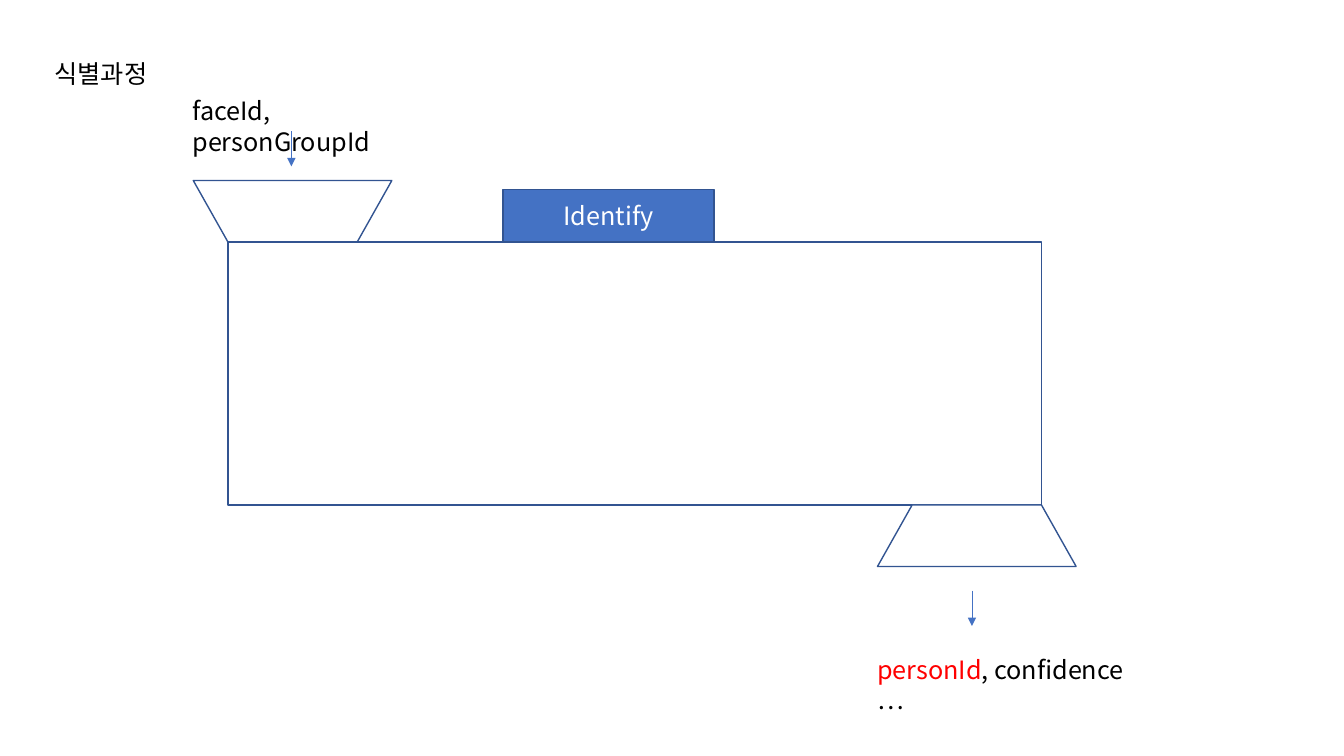
"""Builds the slide showing the inputs and outputs of the identify step."""
import pptx
import pptx.dml.color
import pptx.enum.shapes
import pptx.enum.text
import pptx.oxml.ns
import pptx.util
from lxml import etree

Inches = pptx.util.Inches
SHAPE = pptx.enum.shapes.MSO_SHAPE
ALIGN = pptx.enum.text.PP_ALIGN
ANCHOR = pptx.enum.text.MSO_ANCHOR

FONT = "Noto Sans CJK KR"
BLUE, EDGE, WHITE, BLACK, RED = "4472C4", "325491", "FFFFFF", "000000", "FF0000"

TITLE = [("식별과정", BLACK)]
LABEL = [("Identify", WHITE)]
INPUTS = [("faceId, personGroupId", BLACK)]
OUTPUTS = [("personId", RED), (", confidence …", BLACK)]

BOX_X, BOX_Y, BOX_W, BOX_H = 2.26, 2.4, 8.07, 2.61
LABEL_W, LABEL_H = 2.09, 0.52
PORT_W, PORT_H, PORT_SLOPE = 1.97, 0.61, 0.563
PORT_INSET = PORT_H * PORT_SLOPE
ARROW_H = 0.35
ARROWS = [(2.89, 1.3), (9.64, 5.86)]
TEXTS = [(INPUTS, 1.81, 0.9, 2.72), (OUTPUTS, 8.6, 6.44, 2.85)]


def rgb(color):
    return pptx.dml.color.RGBColor.from_string(color)


def write(shape, runs, align=ALIGN.LEFT, anchor=ANCHOR.TOP):
    tf = shape.text_frame
    tf.word_wrap = True
    tf.auto_size = pptx.enum.text.MSO_AUTO_SIZE.NONE
    tf.vertical_anchor = anchor
    p = tf.paragraphs[0]
    p.alignment = align
    p.line_spacing = 1.0
    for text, color in runs:
        r = p.add_run()
        r.text = text
        r.font.size = pptx.util.Pt(18)
        r.font.name = FONT
        r.font.color.rgb = rgb(color)
        ea = etree.SubElement(r.font._element, pptx.oxml.ns.qn("a:ea"))
        ea.set("typeface", FONT)


def add_shape(s, kind, x, y, w, h, fill=WHITE):
    sp = s.shapes.add_shape(kind, Inches(x), Inches(y), Inches(w), Inches(h))
    sp.shadow.inherit = False
    sp.fill.solid()
    sp.fill.fore_color.rgb = rgb(fill)
    sp.line.color.rgb = rgb(EDGE)
    sp.line.width = pptx.util.Pt(1)
    return sp


def add_port(s, x, y, rotation):
    sp = add_shape(s, SHAPE.TRAPEZOID, x, y, PORT_W, PORT_H)
    sp.adjustments[0] = PORT_SLOPE
    sp.rotation = rotation


def add_arrow(s, x, y):
    cxn = s.shapes.add_connector(pptx.enum.shapes.MSO_CONNECTOR.STRAIGHT,
                                 Inches(x), Inches(y), Inches(x), Inches(y + ARROW_H))
    cxn.line.color.rgb = rgb(BLUE)
    cxn.line.width = pptx.util.Pt(0.5)
    tail = etree.SubElement(cxn.line._get_or_add_ln(), pptx.oxml.ns.qn("a:tailEnd"))
    tail.set("type", "triangle")
    etree.SubElement(cxn._element.spPr, pptx.oxml.ns.qn("a:effectLst"))


def main():
    prs = pptx.Presentation()
    prs.slide_width, prs.slide_height = Inches(13.33), Inches(7.5)
    s = prs.slides.add_slide(prs.slide_layouts[5])

    title = s.shapes.title
    title.left, title.top = Inches(0.44), Inches(0.53)
    title.width, title.height = Inches(1.21), Inches(0.4)
    write(title, TITLE)

    add_shape(s, SHAPE.RECTANGLE, BOX_X, BOX_Y, BOX_W, BOX_H)
    label = add_shape(s, SHAPE.RECTANGLE, 4.99, BOX_Y - LABEL_H, LABEL_W, LABEL_H, BLUE)
    write(label, LABEL, ALIGN.CENTER, ANCHOR.MIDDLE)

    add_port(s, BOX_X - PORT_INSET, BOX_Y - PORT_H, 180)
    add_port(s, BOX_X + BOX_W + PORT_INSET - PORT_W, BOX_Y + BOX_H, 0)

    for x, y in ARROWS:
        add_arrow(s, x, y)
    for runs, x, y, w in TEXTS:
        write(s.shapes.add_textbox(Inches(x), Inches(y), Inches(w), Inches(0.4)), runs)

    prs.save("out.pptx")


if __name__ == "__main__":
    main()
